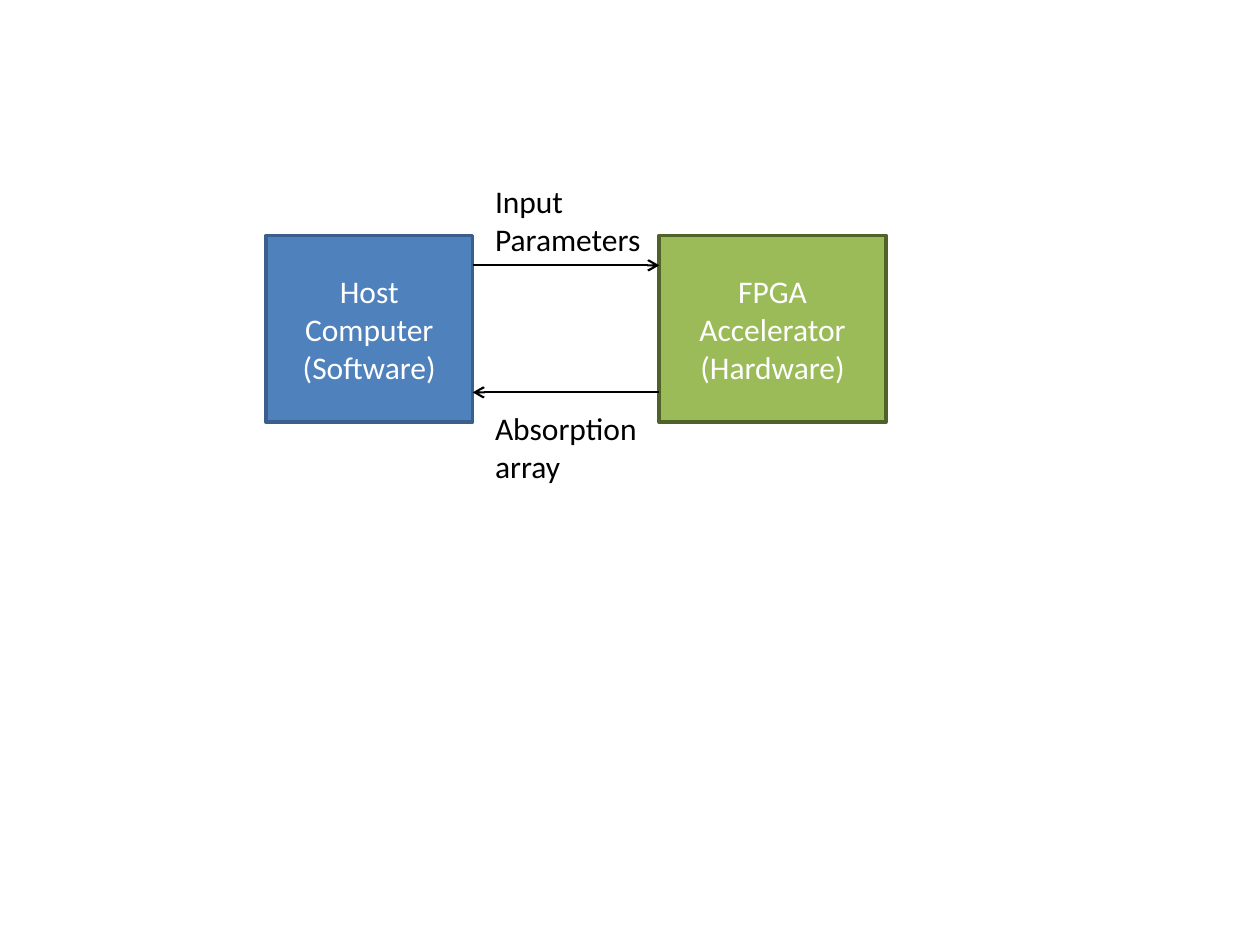
from dataclasses import dataclass

from lxml.etree import SubElement
from pptx import Presentation
from pptx.dml.color import RGBColor as Color
from pptx.enum.shapes import MSO_CONNECTOR as Connector, MSO_SHAPE as Shape
from pptx.enum.text import MSO_ANCHOR as Anchor, PP_ALIGN as Align
from pptx.oxml.ns import qn
from pptx.util import Cm, Pt


@dataclass(frozen=True)
class Theme:
    """Colours, font and sizes of the slide."""
    font: str = "Calibri"
    text_size: float = 18
    border: float = 2
    arrow: float = 1.25
    black: str = "000000"
    white: str = "FFFFFF"
    host: tuple = ("4F81BD", "3A5F8C")
    accelerator: tuple = ("9BBB59", "4F6228")


THEME = Theme()


def write(shape, text, color=THEME.black, align=Align.LEFT, anchor=Anchor.TOP):
    """Put formatted, wrapping text into a shape."""
    frame = shape.text_frame
    frame.word_wrap = True
    frame.vertical_anchor = anchor
    paragraph = frame.paragraphs[0]
    paragraph.alignment = align
    run = paragraph.add_run()
    run.text = text
    run.font.name = THEME.font
    run.font.size = Pt(THEME.text_size)
    run.font.color.rgb = Color.from_string(color)


def add_block(slide, text, box, colors):
    """Draw a bordered block with centred text."""
    fill, line = colors
    shape = slide.shapes.add_shape(Shape.RECTANGLE, *map(Cm, box))
    shape.shadow.inherit = False
    shape.fill.solid()
    shape.fill.fore_color.rgb = Color.from_string(fill)
    shape.line.color.rgb = Color.from_string(line)
    shape.line.width = Pt(THEME.border)
    write(shape, text, color=THEME.white, align=Align.CENTER, anchor=Anchor.MIDDLE)


def add_arrow(slide, start, end, y):
    """Draw a level arrow that points at its end."""
    arrow = slide.shapes.add_connector(Connector.STRAIGHT, Cm(start), Cm(y), Cm(end), Cm(y))
    arrow.line.color.rgb = Color.from_string(THEME.black)
    arrow.line.width = Pt(THEME.arrow)
    properties = arrow.element.spPr
    SubElement(properties.find(qn("a:ln")), qn("a:tailEnd"), type="arrow")
    SubElement(properties, qn("a:effectLst"))


def add_label(slide, text, box):
    """Place a plain text label."""
    write(slide.shapes.add_textbox(*map(Cm, box)), text)


def add_exchange(slide, box):
    """Draw host and accelerator with the data passed between them."""
    left, top, width, height = box
    host_width, accelerator_width = 4.17, 4.57
    host_edge = left + host_width
    accelerator_edge = left + width - accelerator_width
    add_block(slide, "Host Computer (Software)",
              (left, top, host_width, height), THEME.host)
    add_block(slide, "FPGA Accelerator (Hardware)",
              (accelerator_edge, top, accelerator_width, height), THEME.accelerator)

    inset = 0.6
    add_arrow(slide, host_edge, accelerator_edge, top + inset)
    add_arrow(slide, accelerator_edge, host_edge, top + height - inset)

    label_left, label_width, label_height = host_edge + 0.2, 3.76, 1.8
    for text, offset in (("Input Parameters", -1.2), ("Absorption array", height - 0.38)):
        add_label(slide, text, (label_left, top + offset, label_width, label_height))


def main():
    """Build and save the presentation."""
    presentation = Presentation()
    presentation.slide_width, presentation.slide_height = Cm(25.4), Cm(19.05)
    slide = presentation.slides.add_slide(presentation.slide_layouts[6])
    add_exchange(slide, (5.36, 4.75, 12.5, 3.76))
    presentation.save("out.pptx")


main()
